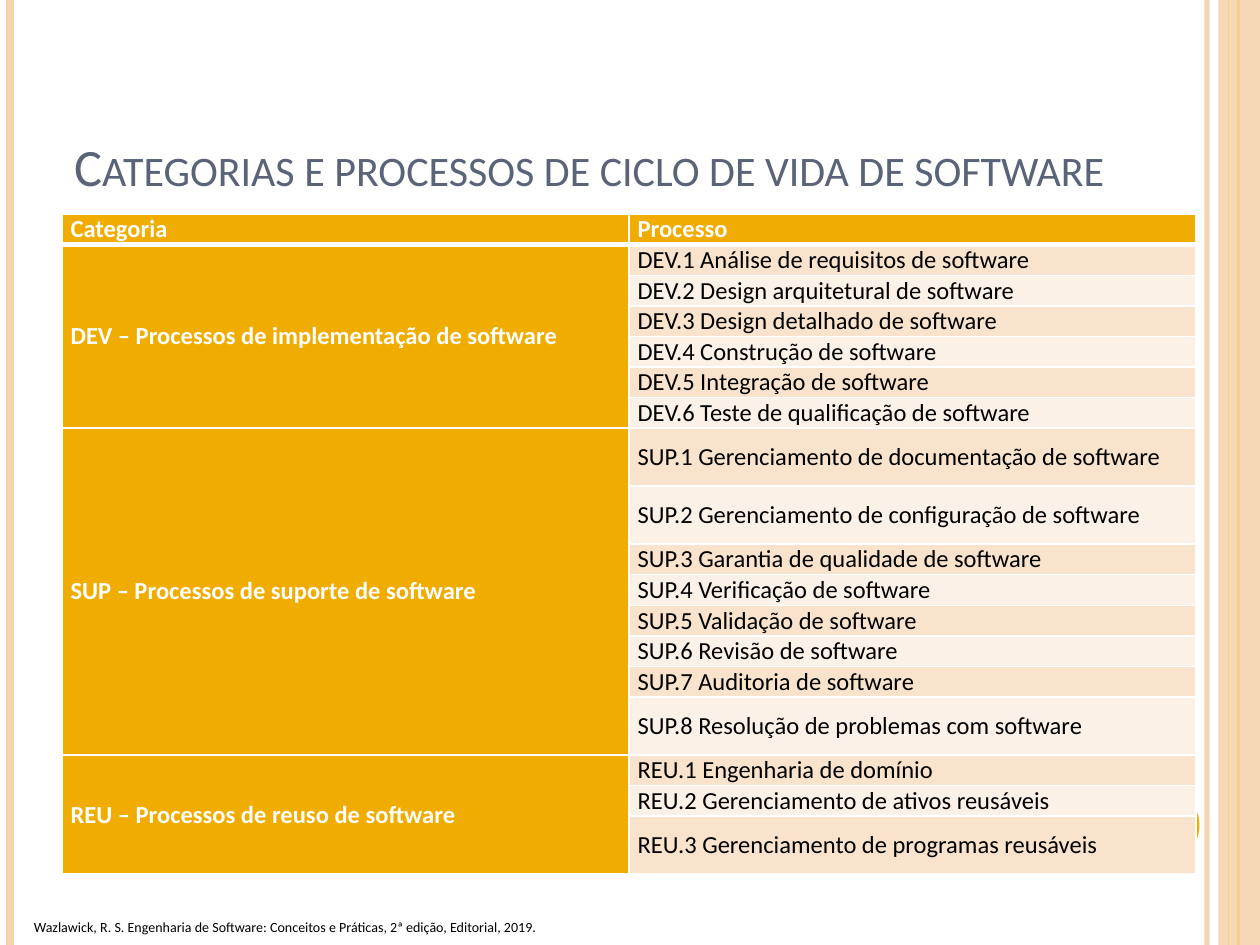
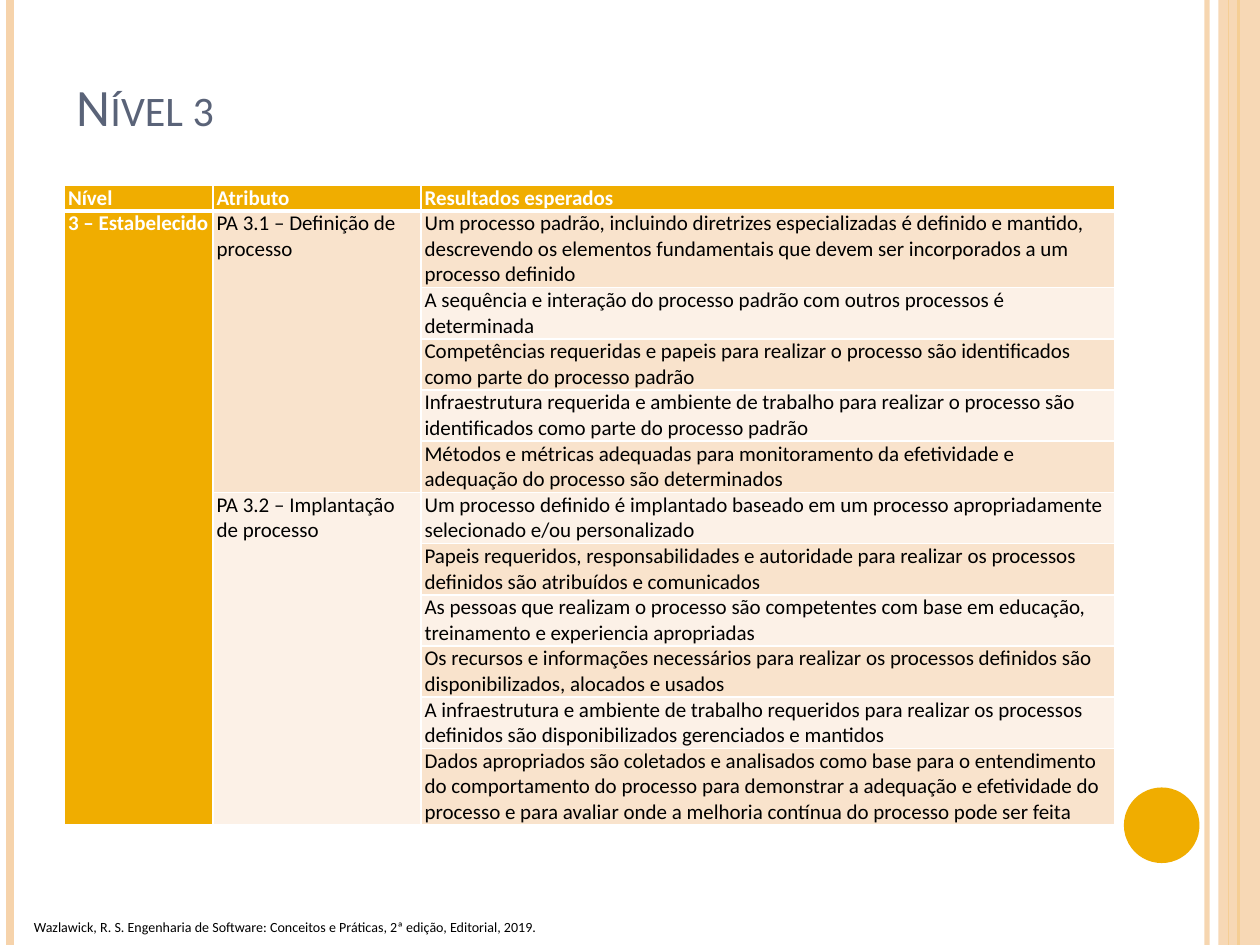
"""Builds two slides with tables on software process categories and capability level 3."""
import pptx
import pptx.dml.color
import pptx.enum.shapes
import pptx.enum.text
import pptx.oxml
import pptx.oxml.ns
import pptx.util

AMBER = pptx.dml.color.RGBColor(0xF0, 0xAD, 0x00)
PEACH = pptx.dml.color.RGBColor(0xF6, 0xD3, 0xAB)
STRIPE_DARK = pptx.dml.color.RGBColor(0xF9, 0xE3, 0xCC)
STRIPE_LIGHT = pptx.dml.color.RGBColor(0xFC, 0xF1, 0xE7)
SLATE = pptx.dml.color.RGBColor(0x5A, 0x63, 0x78)
BLACK = pptx.dml.color.RGBColor(0, 0, 0)
WHITE = pptx.dml.color.RGBColor(0xFF, 0xFF, 0xFF)
FONT = "Calibri"
SOURCE = "Wazlawick, R. S. Engenharia de Software: Conceitos e Práticas, 2ª edição, Editorial, 2019."
MIDDLE = pptx.enum.text.MSO_ANCHOR.MIDDLE
TOP = pptx.enum.text.MSO_ANCHOR.TOP
BOTTOM = pptx.enum.text.MSO_ANCHOR.BOTTOM

deck = pptx.Presentation()
deck.slide_width = pptx.util.Inches(10)
deck.slide_height = pptx.util.Inches(7.5)
COL = deck.slide_width / 100
ROW = deck.slide_height / 75


def on_grid(left, top, width, height):
    """Turns grid columns and rows into lengths."""
    return int(left * COL), int(top * ROW), int(width * COL), int(height * ROW)


def write(frame, text, size, color, bold=False):
    """Puts one formatted line of text in a frame."""
    frame.text = text
    frame.word_wrap = True
    for run in frame.paragraphs[0].runs:
        run.font.name = FONT
        run.font.size = pptx.util.Pt(size)
        run.font.color.rgb = color
        run.font.bold = bold


process_groups = {
    "DEV – Processos de implementação de software": [
        "DEV.1 Análise de requisitos de software",
        "DEV.2 Design arquitetural de software",
        "DEV.3 Design detalhado de software",
        "DEV.4 Construção de software",
        "DEV.5 Integração de software",
        "DEV.6 Teste de qualificação de software",
    ],
    "SUP – Processos de suporte de software": [
        "SUP.1 Gerenciamento de documentação de software",
        "SUP.2 Gerenciamento de configuração de software",
        "SUP.3 Garantia de qualidade de software",
        "SUP.4 Verificação de software",
        "SUP.5 Validação de software",
        "SUP.6 Revisão de software",
        "SUP.7 Auditoria de software",
        "SUP.8 Resolução de problemas com software",
    ],
    "REU – Processos de reuso de software": [
        "REU.1 Engenharia de domínio",
        "REU.2 Gerenciamento de ativos reusáveis",
        "REU.3 Gerenciamento de programas reusáveis",
    ],
}
attribute_groups = {
    "PA 3.1 – Definição de processo": [
        "Um processo padrão, incluindo diretrizes especializadas é definido e mantido, descrevendo os "
        "elementos fundamentais que devem ser incorporados a um processo definido",
        "A sequência e interação do processo padrão com outros processos é determinada",
        "Competências requeridas e papeis para realizar o processo são identificados como parte do "
        "processo padrão",
        "Infraestrutura requerida e ambiente de trabalho para realizar o processo são identificados "
        "como parte do processo padrão",
        "Métodos e métricas adequadas para monitoramento da efetividade e adequação do processo são "
        "determinados",
    ],
    "PA 3.2 – Implantação de processo": [
        "Um processo definido é implantado baseado em um processo apropriadamente selecionado e/ou "
        "personalizado",
        "Papeis requeridos, responsabilidades e autoridade para realizar os processos definidos são "
        "atribuídos e comunicados",
        "As pessoas que realizam o processo são competentes com base em educação, treinamento e "
        "experiencia apropriadas",
        "Os recursos e informações necessários para realizar os processos definidos são "
        "disponibilizados, alocados e usados",
        "A infraestrutura e ambiente de trabalho requeridos para realizar os processos definidos são "
        "disponibilizados gerenciados e mantidos",
        "Dados apropriados são coletados e analisados como base para o entendimento do comportamento "
        "do processo para demonstrar a adequação e efetividade do processo e para avaliar onde a "
        "melhoria contínua do processo pode ser feita",
    ],
}

process_rows = [["Categoria", "Processo"]]
for category, processes in process_groups.items():
    process_rows += [[category if n == 0 else "", process] for n, process in enumerate(processes)]

level_rows = [["Nível", "Atributo", "Resultados esperados"]]
for attribute, results in attribute_groups.items():
    level_rows += [["", attribute if n == 0 else "", result] for n, result in enumerate(results)]
level_rows[1][0] = "3 – Estabelecido"

pages = [
    dict(title="Categorias e processos de ciclo de vida de software", title_box=(4.9, 4.4, 90, 11.7),
         rows=process_rows, table_box=(4.9, 17, 90, 52.4), columns=[45, 45],
         row_shares=[1.9 if n in (7, 8, 14, 17) else 1 for n in range(18)],
         size=14, inset=0.7, anchor=MIDDLE),
    dict(title="Nível 3", title_box=(5.1, -1.1, 81.7, 12.5),
         rows=level_rows, table_box=(5.1, 14.7, 83.4, 50.8), columns=[11.8, 16.5, 55.1],
         row_shares=[1, 3] + [2] * 9 + [3],
         size=12, inset=0.3, anchor=TOP),
]

for page in pages:
    slide = deck.slides.add_slide(deck.slide_layouts[6])

    for x, color, weight, opacity in [(95.8, PEACH, 3, 93), (0.8, PEACH, 4.5, 100),
                                      (98.3, AMBER, 1.5, 100), (97.5, AMBER, 0.75, 100)]:
        if x == 98.3:
            right_stripe_first = True
        stripe = slide.shapes.add_connector(pptx.enum.shapes.MSO_CONNECTOR.STRAIGHT,
                                            int(x * COL), 0, int(x * COL), deck.slide_height)
        stripe.line.color.rgb = color
        stripe.line.width = pptx.util.Pt(weight)
        properties = stripe.line._get_or_add_ln().getparent()
        properties.append(pptx.oxml.parse_xml(f'<a:effectLst {pptx.oxml.ns.nsdecls("a")}/>'))
        for tint in properties.iter(pptx.oxml.ns.qn("a:srgbClr")):
            tint.append(pptx.oxml.parse_xml(
                f'<a:alpha {pptx.oxml.ns.nsdecls("a")} val="{opacity * 1000}"/>'))

    for kind, box, color, opacity in [
            (pptx.enum.shapes.MSO_SHAPE.RECTANGLE, (96.7, 0, 3.3, 75), PEACH, 87),
            (pptx.enum.shapes.MSO_SHAPE.OVAL, (89.2, 62.5, 6, 6), AMBER, 100)]:
        ornament = slide.shapes.add_shape(kind, *on_grid(*box))
        ornament.shadow.inherit = False
        ornament.fill.solid()
        ornament.fill.fore_color.rgb = color
        ornament.line.fill.background()
        for tint in ornament._element.spPr.iter(pptx.oxml.ns.qn("a:srgbClr")):
            tint.append(pptx.oxml.parse_xml(
                f'<a:alpha {pptx.oxml.ns.nsdecls("a")} val="{opacity * 1000}"/>'))

    footer = slide.shapes.add_textbox(*on_grid(1.7, 72.4, 48.3, 2.4))
    write(footer.text_frame, SOURCE, 8, BLACK)

    title = slide.shapes.add_textbox(*on_grid(*page["title_box"]))
    write(title.text_frame, page["title"], 30, SLATE)
    title.text_frame.vertical_anchor = BOTTOM
    title.text_frame.paragraphs[0].runs[0].font._element.set("cap", "small")

    rows, columns = page["rows"], page["columns"]
    grid = slide.shapes.add_table(len(rows), len(columns), *on_grid(*page["table_box"])).table
    grid.horz_banding = False
    for column, width in zip(grid.columns, columns):
        column.width = int(width * COL)
    share_height = page["table_box"][3] * ROW / sum(page["row_shares"])
    for row, share in zip(grid.rows, page["row_shares"]):
        row.height = int(share * share_height)

    for r, texts in enumerate(rows):
        for c, text in enumerate(texts):
            cell = grid.cell(r, c)
            heading = r == 0 or c == 0
            write(cell.text_frame, text, page["size"], WHITE if heading else BLACK, heading)
            cell.vertical_anchor = page["anchor"]
            cell.margin_left = cell.margin_right = int(page["inset"] * COL)
            cell.margin_top = cell.margin_bottom = 0
            for side in "LRTB":
                weight = 3 if (r, side) in ((0, "B"), (1, "T")) else 1
                cell._tc.get_or_add_tcPr().append(pptx.oxml.parse_xml(
                    f'<a:ln{side} {pptx.oxml.ns.nsdecls("a")} w="{pptx.util.Pt(weight)}">'
                    f'<a:solidFill><a:srgbClr val="{WHITE}"/></a:solidFill></a:ln{side}>'))
            cell.fill.solid()
            cell.fill.fore_color.rgb = AMBER if heading else STRIPE_DARK if r % 2 else STRIPE_LIGHT

    for c in range(len(columns) - 1):
        starts = [r for r in range(1, len(rows)) if rows[r][c]] + [len(rows)]
        for first, after in zip(starts, starts[1:]):
            grid.cell(first, c).merge(grid.cell(after - 1, c))

deck.save("out.pptx")
